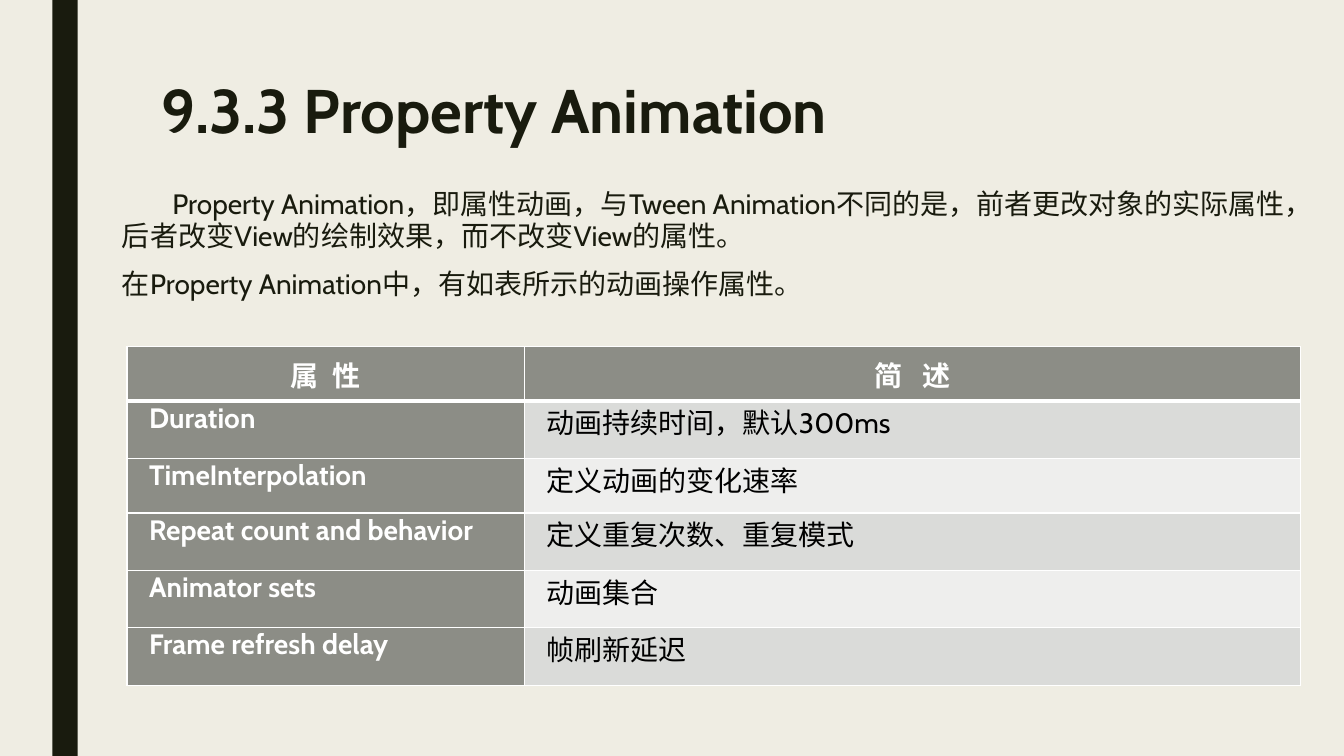
"""Build the Property Animation slide with its table of animation attributes."""
from dataclasses import dataclass

from lxml.etree import SubElement
from pptx import Presentation
from pptx.dml.color import RGBColor
from pptx.enum.shapes import MSO_SHAPE as Shape
from pptx.enum.text import MSO_ANCHOR as Anchor, MSO_AUTO_SIZE as AutoSize, PP_ALIGN as Align
from pptx.oxml.ns import qn
from pptx.util import Inches, Pt

INK, PAPER, WHITE, BLACK = "191B0E", "EFEDE3", "FFFFFF", "000000"
HEAD_FILL, BANDS = "8C8D86", ("DADBD9", "EEEEED")
COLUMN_WIDTHS = (3.94, 7.7)
ROW_HEIGHTS = (0.54, 0.57, 0.54, 0.57, 0.57, 0.57)


@dataclass
class Box:
    left: float
    top: float
    width: float
    height: float

    def lengths(self) -> list:
        return [Inches(side) for side in (self.left, self.top, self.width, self.height)]


@dataclass
class Heading:
    text: str
    tracking: int


@dataclass
class Attribute:
    name: str
    summary: str


HEADINGS = (Heading("属 性", 250), Heading("简 述", 500))
ATTRIBUTES = (
    Attribute("Duration", "动画持续时间，默认300ms"),
    Attribute("TimeInterpolation", "定义动画的变化速率"),
    Attribute("Repeat count and behavior", "定义重复次数、重复模式"),
    Attribute("Animator sets", "动画集合"),
    Attribute("Frame refresh delay", "帧刷新延迟"),
)
BODY = (
    "Property Animation，即属性动画，与Tween Animation不同的是，前者更改对象的实际属性，"
    "后者改变View的绘制效果，而不改变View的属性。",
    "在Property Animation中，有如表所示的动画操作属性。",
)


def colour(code: str) -> RGBColor:
    return RGBColor.from_string(code)


def style(para, size: float, code: str, bold: bool = False) -> None:
    for span in para.runs:
        span.font.name = "Cabin"
        span.font.size = Pt(size)
        span.font.bold = bold
        span.font.color.rgb = colour(code)


def place(holder, box: Box, text: str):
    holder.left, holder.top, holder.width, holder.height = box.lengths()
    frame = holder.text_frame
    frame.text = text
    frame.word_wrap = True
    frame.auto_size = AutoSize.NONE
    frame.vertical_anchor = Anchor.TOP
    return frame


def add_title(page) -> None:
    frame = place(page.shapes.title, Box(1.5, 0.75, 10.5, 0.91), "9.3.3 Property Animation")
    para = frame.paragraphs[0]
    para.alignment = Align.LEFT
    para.line_spacing = 0.89
    para.space_before = Pt(0)
    style(para, 44, INK, True)


def add_body(page) -> None:
    frame = place(page.placeholders[1], Box(1.11, 1.83, 12, 1.61), "\n".join(BODY))
    for index, para in enumerate(frame.paragraphs):
        para.line_spacing = 0.94
        para.space_before = Pt(10 if index else 0)
        para.space_after = Pt(2)
        properties = para._p.get_or_add_pPr()
        properties.set("marL", "0")
        properties.set("indent", str(Inches(0 if index else 0.5)))
        SubElement(properties, qn("a:buNone"))
        style(para, 20, INK)


def add_borders(cell, top: float, bottom: float) -> None:
    properties = cell._tc.get_or_add_tcPr()
    for side, width in (("L", 1), ("R", 1), ("T", top), ("B", bottom)):
        line = SubElement(properties, qn(f"a:ln{side}"), w=str(Pt(width)))
        SubElement(SubElement(line, qn("a:solidFill")), qn("a:srgbClr"), val=WHITE)


def fill_cell(cell, text: str, fill: str, code: str, bold: bool, align: Align):
    cell.text_frame.text = text
    cell.margin_left = cell.margin_right = Inches(0.22)
    cell.margin_top = cell.margin_bottom = 0
    cell.fill.solid()
    cell.fill.fore_color.rgb = colour(fill)
    para = cell.text_frame.paragraphs[0]
    para.alignment = align
    style(para, 20, code, bold)
    return para


def add_attribute_table(page) -> None:
    box = Box(1.26, 3.44, sum(COLUMN_WIDTHS), sum(ROW_HEIGHTS))
    table = page.shapes.add_table(len(ROW_HEIGHTS), len(COLUMN_WIDTHS), *box.lengths()).table
    for column, width in zip(table.columns, COLUMN_WIDTHS):
        column.width = Inches(width)
    for index, (row, height) in enumerate(zip(table.rows, ROW_HEIGHTS)):
        row.height = Inches(height)
        for cell in row.cells:
            add_borders(cell, 3 if index == 1 else 1, 3 if index == 0 else 1)
    for cell, heading in zip(table.rows[0].cells, HEADINGS):
        para = fill_cell(cell, heading.text, HEAD_FILL, WHITE, True, Align.CENTER)
        para.runs[0]._r.get_or_add_rPr().set("spc", str(heading.tracking))
        cell.vertical_anchor = Anchor.MIDDLE
    for index, attribute in enumerate(ATTRIBUTES):
        name, summary = table.rows[index + 1].cells
        fill_cell(name, attribute.name, HEAD_FILL, WHITE, True, Align.JUSTIFY)
        fill_cell(summary, attribute.summary, BANDS[index % 2], BLACK, False, Align.JUSTIFY)


def add_side_bar(page) -> None:
    bar = page.shapes.add_shape(Shape.RECTANGLE, *Box(0.52, 0, 0.25, 7.5).lengths())
    bar.shadow.inherit = False
    bar.fill.solid()
    bar.fill.fore_color.rgb = colour(INK)
    bar.line.fill.background()


def main() -> None:
    deck = Presentation()
    deck.slide_width, deck.slide_height = Inches(13.33), Inches(7.5)
    page = deck.slides.add_slide(deck.slide_layouts[1])
    page.background.fill.solid()
    page.background.fill.fore_color.rgb = colour(PAPER)
    add_side_bar(page)
    add_title(page)
    add_body(page)
    add_attribute_table(page)
    deck.save("out.pptx")


if __name__ == "__main__":
    main()
